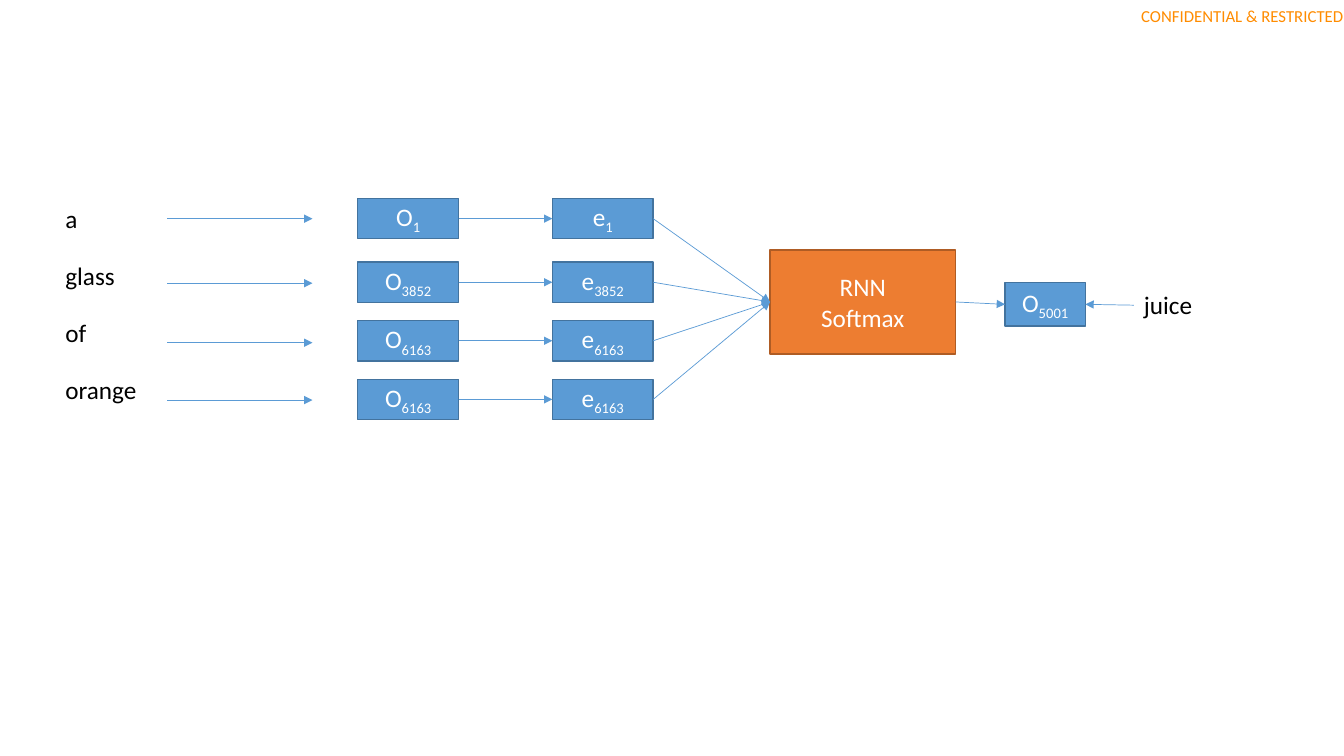
from pptx import Presentation
from pptx.dml.color import RGBColor
from pptx.enum.shapes import MSO_CONNECTOR, MSO_SHAPE
from pptx.enum.text import MSO_ANCHOR, PP_ALIGN
from pptx.oxml.ns import qn
from pptx.util import Pt
from lxml.etree import SubElement

BLUE = RGBColor(0x5B, 0x9B, 0xD5)
DARK_BLUE = RGBColor(0x43, 0x73, 0x9E)
ORANGE = RGBColor(0xED, 0x7D, 0x31)
DARK_ORANGE = RGBColor(0xAF, 0x5C, 0x24)
AMBER = RGBColor(0xFF, 0x8C, 0x00)
BLACK = RGBColor(0, 0, 0)
WHITE = RGBColor(0xFF, 0xFF, 0xFF)

LEFT, BOTTOM_RIGHT = 1, 3
ROW_HEIGHT = 28.8
WORD_PITCH = 40.8
TOKENS = [
    ("a", "1", 0, 14.4),
    ("glass", "3852", 45.4, 60.5),
    ("of", "6163", 87.2, 103),
    ("orange", "6163", 129.1, 144),
]


def add_run(paragraph, text, color, size=18, subscript=False):
    run = paragraph.add_run()
    run.text = text
    run.font.name = "Calibri"
    run.font.size = Pt(size)
    run.font.color.rgb = color
    if subscript:
        run.font._element.set("baseline", "-25000")


def add_label(slide, box, text):
    label = slide.shapes.add_textbox(*map(Pt, box))
    label.text_frame.word_wrap = True
    add_run(label.text_frame.paragraphs[0], text, BLACK)


def add_block(slide, box, fill, outline, lines):
    block = slide.shapes.add_shape(MSO_SHAPE.RECTANGLE, *map(Pt, box))
    block.shadow.inherit = False
    block.fill.solid()
    block.fill.fore_color.rgb = fill
    block.line.color.rgb = outline
    block.line.width = Pt(1)
    frame = block.text_frame
    frame.word_wrap = True
    frame.vertical_anchor = MSO_ANCHOR.MIDDLE
    for index, (text, subscript) in enumerate(lines):
        paragraph = frame.add_paragraph() if index else frame.paragraphs[0]
        paragraph.alignment = PP_ALIGN.CENTER
        add_run(paragraph, text, WHITE)
        if subscript:
            add_run(paragraph, subscript, WHITE, subscript=True)
    return block


def add_vector(slide, box, symbol, index):
    return add_block(slide, box, BLUE, DARK_BLUE, [(symbol, index)])


def add_arrow(slide, start=(0, 0), end=(0, 0), source=None, target=None, target_side=LEFT):
    arrow = slide.shapes.add_connector(MSO_CONNECTOR.STRAIGHT, *map(Pt, start + end))
    if source is not None:
        arrow.begin_connect(source, BOTTOM_RIGHT)
    if target is not None:
        arrow.end_connect(target, target_side)
    arrow.line.color.rgb = BLUE
    arrow.line.width = Pt(0.5)
    SubElement(arrow.line._get_or_add_ln(), qn("a:tailEnd"), type="triangle")
    SubElement(arrow._element.spPr, qn("a:effectLst"))


def add_classification(slide, left, top, width, height):
    notice = slide.shapes.add_textbox(Pt(left), Pt(top), Pt(width), Pt(height))
    frame = notice.text_frame
    frame.word_wrap = True
    frame.margin_left = frame.margin_right = frame.margin_top = frame.margin_bottom = 0
    frame.vertical_anchor = MSO_ANCHOR.MIDDLE
    frame.paragraphs[0].alignment = PP_ALIGN.RIGHT
    add_run(frame.paragraphs[0], "CONFIDENTIAL & RESTRICTED", AMBER, size=12)


def add_words(slide, left, top):
    for row, (word, _, _, arrow_drop) in enumerate(TOKENS):
        add_label(slide, (left, top + row * WORD_PITCH, 97.2, ROW_HEIGHT), word)
        y = top + arrow_drop
        add_arrow(slide, (left + 80, y), (left + 183.6, y))


def add_embeddings(slide, left, top):
    embeddings = []
    for _, index, drop, _ in TOKENS:
        one_hot = add_vector(slide, (left, top + drop, 72, ROW_HEIGHT), "O", index)
        embedding = add_vector(slide, (left + 139, top + drop, 72, ROW_HEIGHT), "e", index)
        add_arrow(slide, source=one_hot, target=embedding)
        embeddings.append(embedding)
    return embeddings


def add_prediction(slide, left, top, embeddings):
    network = add_block(slide, (left, top, 132.5, 74.2), ORANGE, DARK_ORANGE,
                        [("RNN", ""), ("Softmax", "")])
    for embedding in embeddings:
        add_arrow(slide, source=embedding, target=network)
    predicted = add_vector(slide, (left + 167.8, top + 23.3, 57.4, 31), "O", "5001")
    add_arrow(slide, source=network, target=predicted)
    add_label(slide, (left + 259.9, top + 24.4, 69.8, ROW_HEIGHT), "juice")
    add_arrow(slide, start=(left + 259.9, top + 39.4), target=predicted,
              target_side=BOTTOM_RIGHT)


def main():
    presentation = Presentation()
    presentation.slide_width = Pt(960)
    presentation.slide_height = Pt(540)
    slide = presentation.slides.add_slide(presentation.slide_layouts[6])
    add_classification(slide, 787.7, 0, 172, 23)
    add_words(slide, 39.6, 141.8)
    embeddings = add_embeddings(slide, 255.6, 141.8)
    add_prediction(slide, 550.1, 178.6, embeddings)
    presentation.save("out.pptx")


if __name__ == "__main__":
    main()
